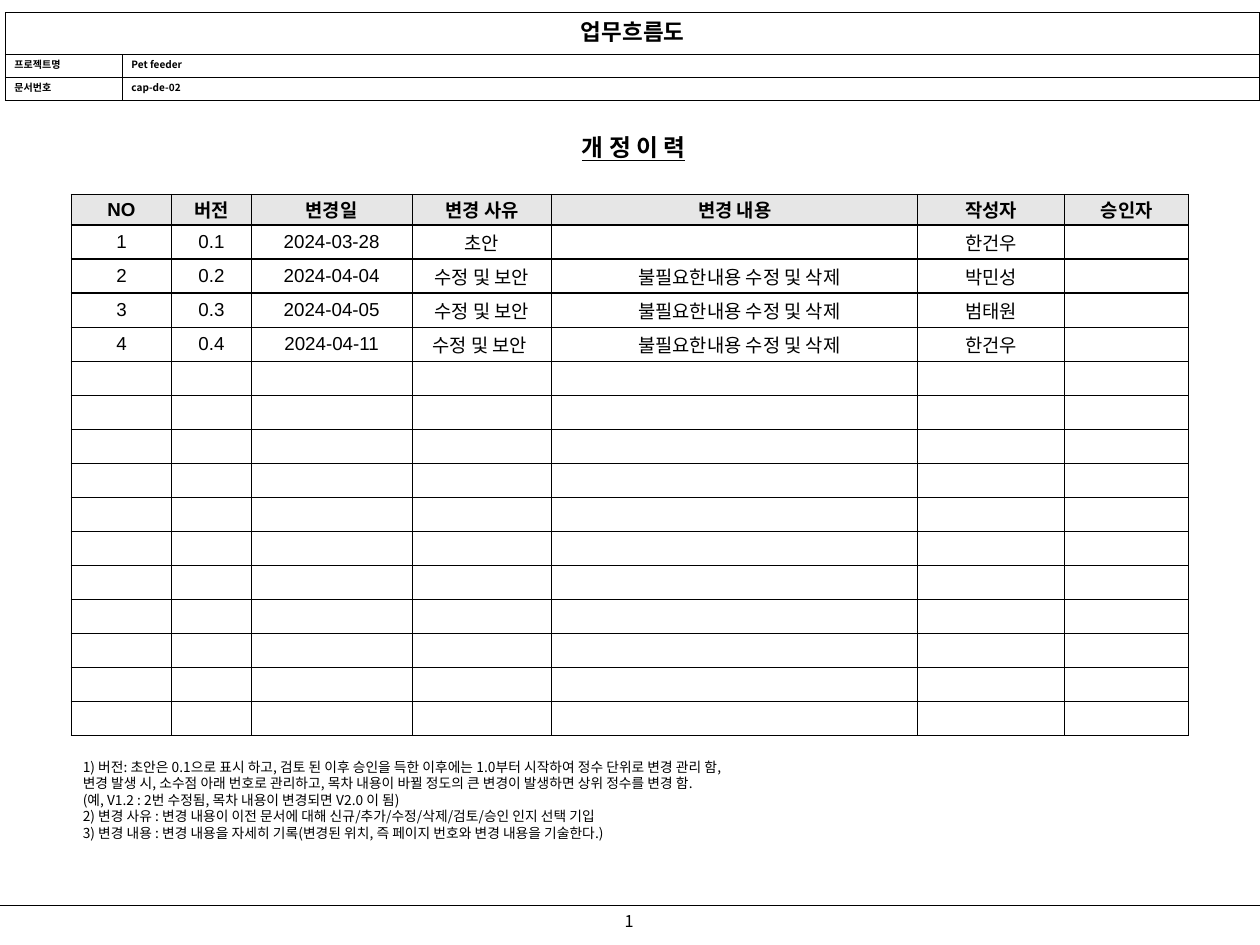
from dataclasses import dataclass

from pptx import Presentation
from pptx.dml.color import RGBColor
from pptx.enum.shapes import MSO_CONNECTOR
from pptx.enum.text import MSO_ANCHOR, PP_ALIGN
from pptx.oxml.ns import qn
from pptx.util import Inches, Pt
from lxml.etree import SubElement


@dataclass(frozen=True)
class Theme:
    """Colours, fonts and type sizes of the slide."""
    ink: str = "000000"
    paper: str = "FFFFFF"
    heading_fill: str = "E6E6E6"
    korean: str = "Noto Sans CJK KR"
    latin: str = "Arial"
    document_size: int = 18
    title_size: int = 19
    table_size: int = 15
    page_size: int = 13
    note_size: int = 11
    label_size: int = 8
    rule_width: int = 1


THEME = Theme()
SLIDE_WIDTH, SLIDE_HEIGHT = Inches(14), Inches(10.5)
REVISION_COLUMNS = [8, 6.29, 12.79, 11.07, 29.07, 11.64, 9.86]
REVISION_ROWS = [3.24] + [3.6] * 15
EDIT = "불필요한내용 수정 및 삭제"
REVISIONS = [
    ["NO", "버전", "변경일", "변경 사유", "변경 내용", "작성자", "승인자"],
    ["1", "0.1", "2024-03-28", "초안", "", "한건우", ""],
    ["2", "0.2", "2024-04-04", "수정 및 보안", EDIT, "박민성", ""],
    ["3", "0.3", "2024-04-05", "수정 및 보안", EDIT, "범태원", ""],
    ["4", "0.4", "2024-04-11", "수정 및 보안 ", EDIT, "한건우", ""],
]
DOCUMENT = [["업무흐름도", ""], ["프로젝트명", "Pet feeder"], ["문서번호", "cap-de-02"]]
NOTES = [
    "1) 버전: 초안은 0.1으로 표시 하고, 검토 된 이후 승인을 득한 이후에는 1.0부터 시작하여 정수 단위로 변경 관리 함,",
    "변경 발생 시, 소수점 아래 번호로 관리하고, 목차 내용이 바뀔 정도의 큰 변경이 발생하면 상위 정수를 변경 함.",
    "(예, V1.2 : 2번 수정됨, 목차 내용이 변경되면 V2.0 이 됨)",
    "2) 변경 사유 : 변경 내용이 이전 문서에 대해 신규/추가/수정/삭제/검토/승인 인지 선택 기입",
    "3) 변경 내용 : 변경 내용을 자세히 기록(변경된 위치, 즉 페이지 번호와 변경 내용을 기술한다.)",
]


def across(percent):
    """Return a share of the slide's width."""
    return round(SLIDE_WIDTH * percent / 100)


def down(percent):
    """Return a share of the slide's height."""
    return round(SLIDE_HEIGHT * percent / 100)


def write_text(frame, lines, *, size, font=THEME.korean, bold=False, underline=False,
               align=PP_ALIGN.LEFT, leading=None, hanging=None):
    """Write each line as a paragraph in the given format."""
    for index, line in enumerate(lines):
        paragraph = frame.paragraphs[0] if index == 0 else frame.add_paragraph()
        paragraph.alignment = align
        if leading:
            paragraph.line_spacing = Pt(leading)
        if hanging:
            properties = paragraph._p.get_or_add_pPr()
            properties.set("marL", str(Inches(0.61)))
            properties.set("indent", str(-Inches(hanging)))
        run = paragraph.add_run()
        run.text = line
        run.font.size = Pt(size)
        run.font.bold = bold
        run.font.underline = underline
        run.font.color.rgb = RGBColor.from_string(THEME.ink)
        run.font.name = font
        SubElement(run._r.get_or_add_rPr(), qn("a:ea")).set("typeface", THEME.korean)


def add_text_box(slide, left, top, width, height, lines, *, wrap=True,
                 anchor=MSO_ANCHOR.TOP, **text_format):
    """Add a text box placed by shares of the slide."""
    box = slide.shapes.add_textbox(across(left), down(top), across(width), down(height))
    frame = box.text_frame
    frame.word_wrap = wrap
    frame.vertical_anchor = anchor
    frame.margin_left = frame.margin_right = Inches(0.13)
    frame.margin_top = frame.margin_bottom = Inches(0.07)
    write_text(frame, lines, **text_format)


def add_rule(slide, top):
    """Draw a line across the whole slide."""
    rule = slide.shapes.add_connector(
        MSO_CONNECTOR.STRAIGHT, 0, down(top), SLIDE_WIDTH, down(top))
    rule.line.color.rgb = RGBColor.from_string(THEME.ink)
    rule.line.width = Pt(THEME.rule_width)
    SubElement(rule._element.spPr, qn("a:effectLst"))


def style_cell(cell, *, fill, side, edge):
    """Set the borders, fill and margins of a cell."""
    properties = cell._tc.get_or_add_tcPr()
    for name in ("a:lnL", "a:lnR", "a:lnT", "a:lnB"):
        border = SubElement(properties, qn(name), w=str(Pt(THEME.rule_width)))
        colour = SubElement(border, qn("a:solidFill"))
        SubElement(colour, qn("a:srgbClr"), val=THEME.ink)
    if fill:
        cell.fill.solid()
        cell.fill.fore_color.rgb = RGBColor.from_string(fill)
    else:
        cell.fill.background()
    cell.margin_left = cell.margin_right = Inches(side)
    cell.margin_top = cell.margin_bottom = Inches(edge)


def add_grid(slide, left, top, columns, rows):
    """Add an unstyled table with the given column and row shares."""
    table = slide.shapes.add_table(
        len(rows), len(columns), across(left), down(top),
        across(sum(columns)), down(sum(rows))).table
    table.first_row = table.horz_banding = False
    for column, width in zip(table.columns, columns):
        column.width = across(width)
    for row, height in zip(table.rows, rows):
        row.height = down(height)
    return table


def add_document_header(slide):
    """Add the table that names the document."""
    table = add_grid(slide, 0.43, 1.33, [9.29, 90.28], [4.47, 2.44, 2.44])
    for row, texts in enumerate(DOCUMENT):
        for column, text in enumerate(texts):
            cell = table.cell(row, column)
            style_cell(cell, fill=THEME.paper, side=0.1, edge=0.02)
            if text:
                write_text(cell.text_frame, [text], bold=True,
                           size=THEME.label_size if row else THEME.document_size,
                           align=PP_ALIGN.LEFT if row else PP_ALIGN.CENTER)
    table.cell(0, 0).merge(table.cell(0, 1))


def add_revision_table(slide):
    """Add the revision history, with empty rows for later entries."""
    table = add_grid(slide, 5.64, 20.57, REVISION_COLUMNS, REVISION_ROWS)
    for cell in table.iter_cells():
        style_cell(cell, fill=None, side=0.09, edge=0)
        cell.vertical_anchor = MSO_ANCHOR.MIDDLE
    for row, texts in enumerate(REVISIONS):
        for column, text in enumerate(texts):
            cell = table.cell(row, column)
            if row == 0:
                cell.fill.solid()
                cell.fill.fore_color.rgb = RGBColor.from_string(THEME.heading_fill)
            if text:
                write_text(cell.text_frame, [text], size=THEME.table_size,
                           font=THEME.latin, bold=row == 0, align=PP_ALIGN.CENTER,
                           hanging=0.51 if text == EDIT else 0.66)


def main():
    """Build the revision history slide."""
    presentation = Presentation()
    presentation.slide_width, presentation.slide_height = SLIDE_WIDTH, SLIDE_HEIGHT
    slide = presentation.slides.add_slide(presentation.slide_layouts[6])
    add_text_box(slide, 48, 95.81, 3.86, 3.33, ["1"], wrap=False,
                 size=THEME.page_size, align=PP_ALIGN.CENTER)
    add_rule(slide, 95.81)
    add_text_box(slide, 41.57, 13.33, 17.43, 4.48, ["개 정 이 력"],
                 anchor=MSO_ANCHOR.MIDDLE, size=THEME.title_size, bold=True,
                 underline=True, align=PP_ALIGN.CENTER)
    add_revision_table(slide)
    add_text_box(slide, 5.64, 79.62, 88.71, 10.1, NOTES,
                 size=THEME.note_size, leading=13.2)
    add_document_header(slide)
    presentation.save("out.pptx")


if __name__ == "__main__":
    main()
